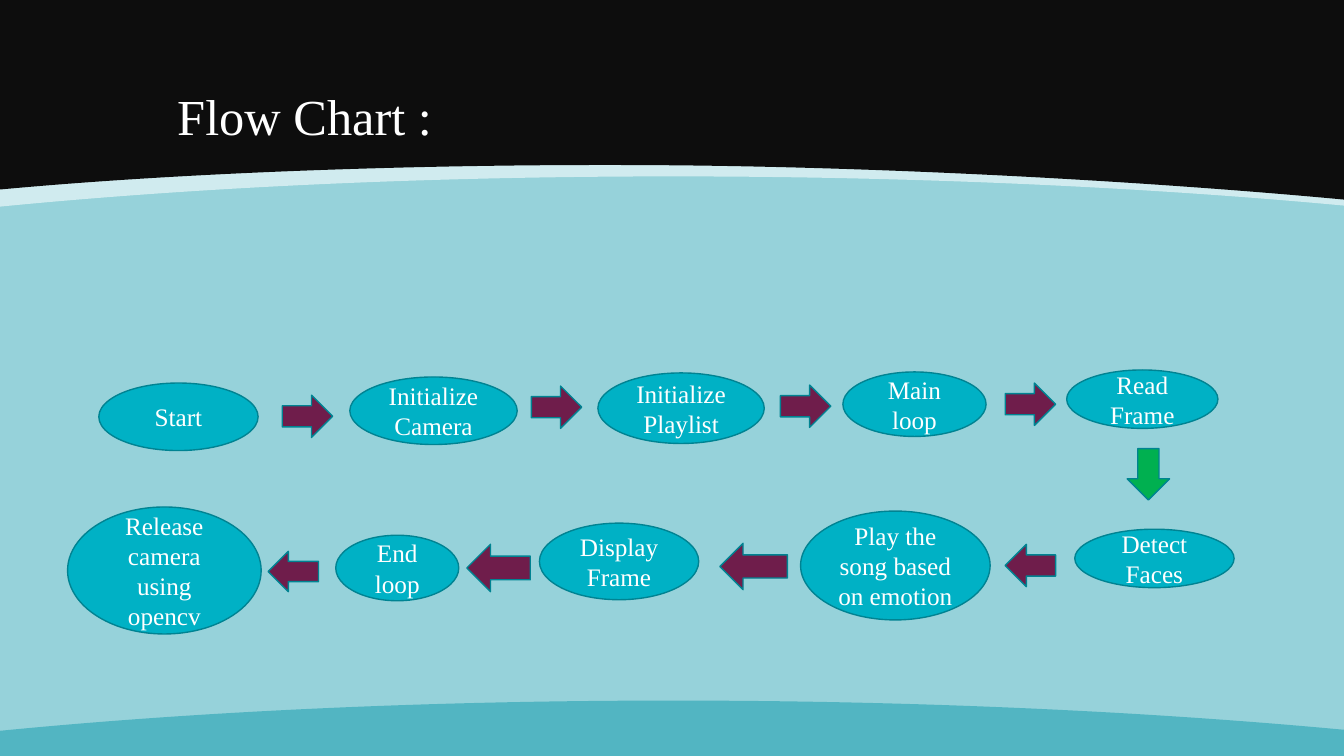
from itertools import zip_longest

from lxml import etree
from pptx import Presentation
from pptx.dml.color import RGBColor
from pptx.enum.shapes import MSO_SHAPE
from pptx.enum.text import MSO_ANCHOR, PP_ALIGN
from pptx.oxml.ns import qn
from pptx.util import Inches, Pt

OVAL = MSO_SHAPE.OVAL
RIGHT, LEFT, DOWN = MSO_SHAPE.RIGHT_ARROW, MSO_SHAPE.LEFT_ARROW, MSO_SHAPE.DOWN_ARROW
MIDDLE, BOTTOM = MSO_ANCHOR.MIDDLE, MSO_ANCHOR.BOTTOM
ALIGN_LEFT, ALIGN_CENTER = PP_ALIGN.LEFT, PP_ALIGN.CENTER

SKY = RGBColor(0x96, 0xD2, 0xDA)
MIST = RGBColor(0xEA, 0xF6, 0xF8)
BLACK = RGBColor(0x0D, 0x0D, 0x0D)
TEAL = RGBColor(0x52, 0xB5, 0xC2)
CYAN = RGBColor(0x00, 0xB1, 0xC5)
OUTLINE = RGBColor(0x00, 0x83, 0x92)
PLUM = RGBColor(0x6F, 0x1D, 0x4B)
GREEN = RGBColor(0x00, 0xB0, 0x50)
WHITE = RGBColor(0xFF, 0xFF, 0xFF)

FONT = "Times New Roman"
WIDTH, HEIGHT = 13.33, 7.5

# Each band: colour, opacity in percent, flat edge, and the Bezier points of
# its curved edge from right to left (two cubic segments).
BANDS = [
    (MIST, 70, 0, [(WIDTH, 2.04), (11.4, 1.86), (9.12, 1.75), (6.68, 1.75),
                   (4.23, 1.75), (1.94, 1.86), (0, 2.05)]),
    (BLACK, 100, 0, [(WIDTH, 1.98), (11.4, 1.8), (8.89, 1.66), (6.68, 1.64),
                     (4.45, 1.62), (1.94, 1.7), (0, 1.88)]),
    (TEAL, 100, HEIGHT, [(WIDTH, 7.24), (11.4, 7.06), (9.12, 6.95), (6.68, 6.95),
                         (4.23, 6.95), (1.94, 7.06), (0, 7.25)]),
]

TITLE = "Flow Chart :"
TITLE_BOX = (1.66, 0.3, 10, 1.2)

# Left, top, width, height
STEPS = [
    ("Start", (0.98, 3.8, 1.58, 0.67)),
    ("Initialize Camera", (3.47, 3.74, 1.66, 0.67)),
    ("Initialize Playlist", (5.93, 3.7, 1.65, 0.7)),
    ("Main loop", (8.36, 3.69, 1.42, 0.64)),
    ("Read Frame", (10.58, 3.67, 1.5, 0.58)),
    ("Detect Faces", (10.66, 5.25, 1.58, 0.58)),
    ("Play the song based on emotion", (7.94, 5.07, 1.88, 1.08)),
    ("Display Frame", (5.35, 5.19, 1.58, 0.76)),
    ("End loop", (3.33, 5.31, 1.22, 0.65)),
    ("Release camera using opencv", (0.67, 5.03, 1.92, 1.26)),
]
# Each arrow leads from the step of the same rank to the next one.
ARROWS = [
    (RIGHT, (2.8, 3.92, 0.5, 0.42), PLUM),
    (RIGHT, (5.27, 3.83, 0.5, 0.42), PLUM),
    (RIGHT, (7.74, 3.82, 0.5, 0.42), PLUM),
    (RIGHT, (9.97, 3.8, 0.5, 0.42), PLUM),
    (DOWN, (11.18, 4.45, 0.42, 0.51), GREEN),
    (LEFT, (9.97, 5.4, 0.5, 0.42), PLUM),
    (LEFT, (7.14, 5.39, 0.67, 0.46), PLUM),
    (LEFT, (4.63, 5.4, 0.63, 0.47), PLUM),
    (LEFT, (2.66, 5.47, 0.5, 0.4), PLUM),
]


def bend(band):
    """Turn the segments after the two straight ones into cubic curves."""
    segments = list(band.element.iter(qn("a:lnTo")))[2:]
    for first in range(0, len(segments), 3):
        curve, *others = segments[first:first + 3]
        curve.tag = qn("a:cubicBezTo")
        for other in others:
            curve.append(other[0])
            other.getparent().remove(other)


def add_band(page, color, opacity, flat_edge, controls):
    outline = [(0, flat_edge), (WIDTH, flat_edge)] + controls
    corners = [(Inches(x), Inches(y)) for x, y in outline]
    builder = page.shapes.build_freeform(*corners[0])
    builder.add_line_segments(corners[1:], close=True)
    band = builder.convert_to_shape()
    bend(band)
    band.shadow.inherit = False
    band.fill.solid()
    band.fill.fore_color.rgb = color
    band.line.fill.background()
    if opacity < 100:
        fill_color = next(band.element.iter(qn("a:srgbClr")))
        etree.SubElement(fill_color, qn("a:alpha"), val=str(opacity * 1000))


def add_figure(page, kind, place, color):
    figure = page.shapes.add_shape(kind, *map(Inches, place))
    figure.shadow.inherit = False
    figure.fill.solid()
    figure.fill.fore_color.rgb = color
    figure.line.color.rgb = OUTLINE
    figure.line.width = Pt(1)
    return figure


def write(shape, text, size=18, align=ALIGN_CENTER, anchor=MIDDLE, spacing=None):
    frame = shape.text_frame
    frame.word_wrap = True
    frame.vertical_anchor = anchor
    para = frame.paragraphs[0]
    para.alignment = align
    para.line_spacing = spacing
    span = para.add_run()
    span.text = text
    span.font.name = FONT
    span.font.size = Pt(size)
    span.font.color.rgb = WHITE


def main():
    deck = Presentation()
    deck.slide_width, deck.slide_height = Inches(WIDTH), Inches(HEIGHT)
    page = deck.slides.add_slide(deck.slide_layouts[6])
    page.background.fill.solid()
    page.background.fill.fore_color.rgb = SKY

    for band in BANDS:
        add_band(page, *band)
    title = page.shapes.add_textbox(*map(Inches, TITLE_BOX))
    write(title, TITLE, size=36, align=ALIGN_LEFT, anchor=BOTTOM, spacing=0.9)
    for (label, place), arrow in zip_longest(STEPS, ARROWS):
        write(add_figure(page, OVAL, place, CYAN), label)
        if arrow:
            add_figure(page, *arrow)

    deck.save("out.pptx")


if __name__ == "__main__":
    main()
